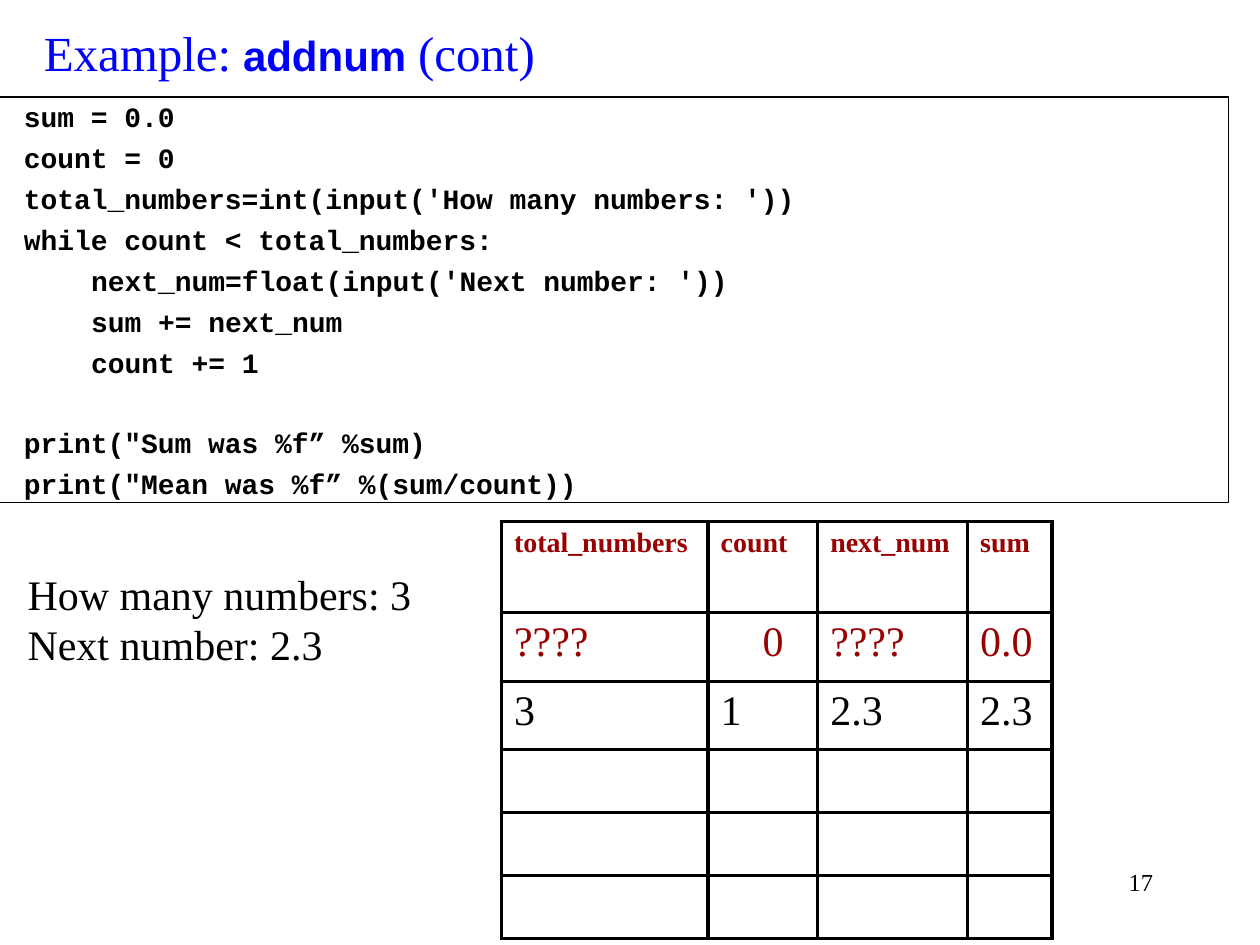
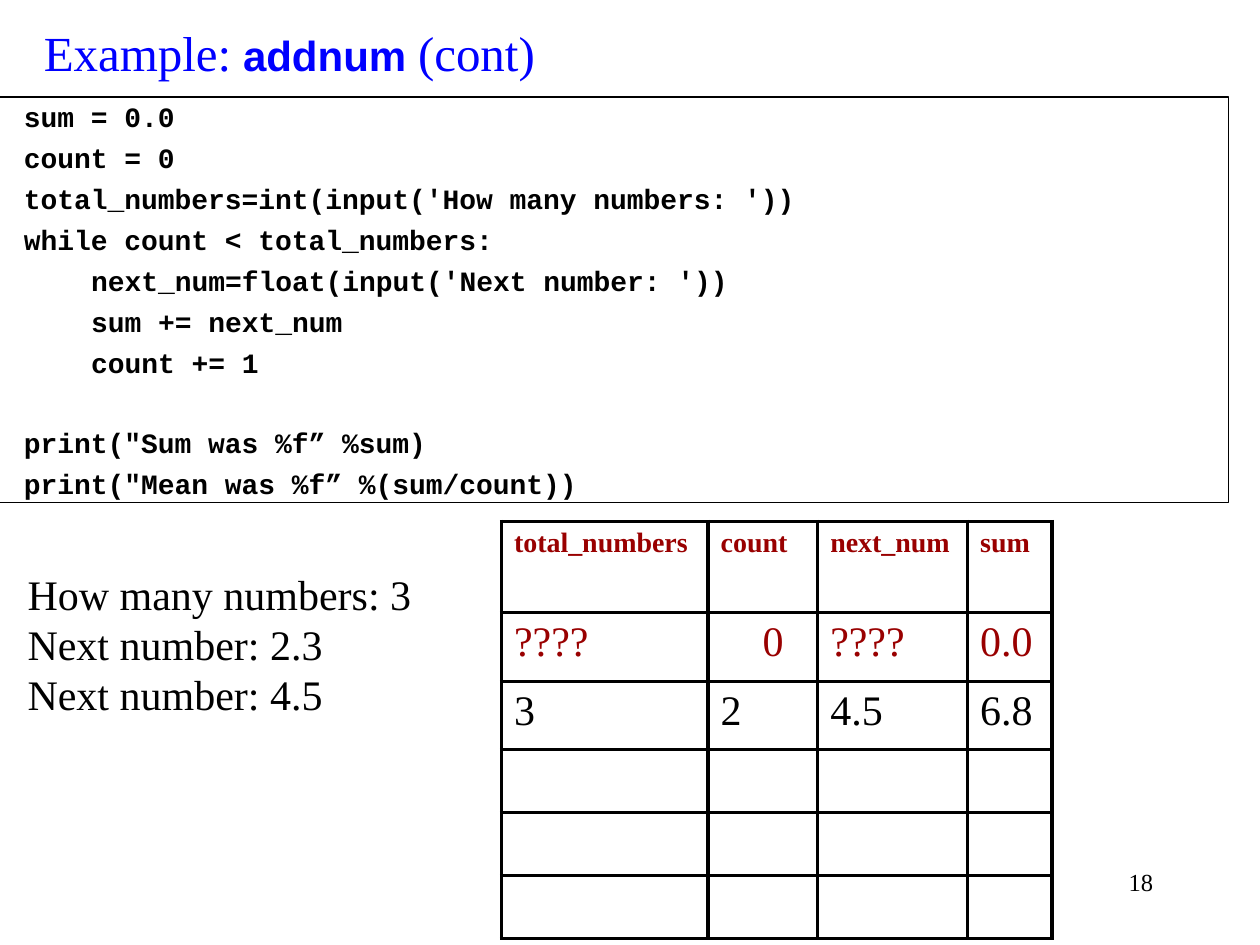
"""Builds two slides that trace the addnum program step by step."""
from dataclasses import dataclass

from lxml.etree import SubElement
from pptx import Presentation
from pptx.dml.color import RGBColor
from pptx.enum.shapes import MSO_SHAPE
from pptx.enum.text import MSO_ANCHOR, PP_ALIGN
from pptx.oxml.ns import qn
from pptx.util import Inches, Pt

COLORS = {"ink": "000000", "title": "0000FF", "accent": "990000"}
SERIF, SANS, MONO = "Times New Roman", "Arial", "Courier New"
SLIDE_W, SLIDE_H = Inches(10), Inches(7.5)
COL, ROW = SLIDE_W / 100, SLIDE_H / 75
CODE_INDENT = 5.33
CODE_GAP, CODE_LINE = 4.2, 22.4


@dataclass(frozen=True)
class Area:
    """A rectangle in grid columns and rows."""
    left: float
    top: float
    width: float
    height: float

    def emu(self) -> tuple[int, int, int, int]:
        return (round(self.left * COL), round(self.top * ROW),
                round(self.width * COL), round(self.height * ROW))


@dataclass(frozen=True)
class Style:
    """The look of a piece of text."""
    font: str
    size: int
    color: str = "ink"
    bold: bool = False


@dataclass(frozen=True)
class CodeLine:
    """A line of the program, its nesting level and the blank lines above it."""
    text: str
    level: int = 0
    blanks: int = 0


@dataclass(frozen=True)
class Step:
    """What one slide shows of the running program."""
    number: int
    dialogue: tuple[str, ...]
    dialogue_rows: float
    values: tuple[str, ...]


TITLE_AREA = Area(2.5, 1.3, 95, 5.7)
CODE_AREA = Area(-0.1, 7.7, 97.6, 32.2)
TABLE_AREA = Area(39.8, 41.4, 43.7, 33.1)
NUMBER_AREA = Area(71.7, 68.3, 20.8, 5)
TABLE_COLS = (16.4, 8.7, 11.9, 6.7)
TABLE_ROWS = (7.2, 5.5, 5.4, 5, 5, 5)

TITLE_STYLE = Style(SERIF, 28, "title")
TITLE = (("Example:", TITLE_STYLE),
         (" addnum ", Style(SANS, 24, "title", True)),
         ("(cont)", TITLE_STYLE))
CODE_STYLE = Style(MONO, 16, bold=True)
HEAD_STYLE = Style(SERIF, 16, "accent", True)
START_STYLE = Style(SERIF, 24, "accent")
BODY_STYLE = Style(SERIF, 24)
NUMBER_STYLE = Style(SERIF, 14)

CODE = (
    CodeLine("sum = 0.0"),
    CodeLine("count = 0"),
    CodeLine("total_numbers=int(input('How many numbers: '))"),
    CodeLine("while count < total_numbers:"),
    CodeLine("next_num=float(input('Next number: '))", 1),
    CodeLine("sum += next_num", 1),
    CodeLine("count += 1", 1),
    CodeLine('print("Sum was %f” %sum)', blanks=1),
    CodeLine('print("Mean was %f” %(sum/count))'),
)
VARIABLES = ("total_numbers", "count", "next_num", "sum")
START_VALUES = ("????", "0", "????", "0.0")
START_COUNT_INDENT = 3.33
DIALOGUE = ("How many numbers: 3", "Next number: 2.3", "Next number: 4.5")
STEPS = (
    Step(17, DIALOGUE[:2], 9.1, ("3", "1", "2.3", "2.3")),
    Step(18, DIALOGUE, 17.2, ("3", "2", "4.5", "6.8")),
)


def set_font(font, style: Style) -> None:
    """Apply a style to the font of a run or paragraph."""
    font.name, font.size, font.bold = style.font, Pt(style.size), style.bold
    font.color.rgb = RGBColor.from_string(COLORS[style.color])


def indent(p, columns: float) -> None:
    """Set the left margin of a paragraph in grid columns."""
    p._p.get_or_add_pPr().set("marL", str(round(columns * COL)))


def add_lines(tf, lines: tuple[str, ...], style: Style) -> list:
    """Write one paragraph per line and return the paragraphs."""
    paragraphs = []
    for i, text in enumerate(lines):
        p = tf.add_paragraph() if i else tf.paragraphs[0]
        p.text = text
        set_font(p.font, style)
        paragraphs.append(p)
    return paragraphs


def add_text(s, area: Area, lines: tuple[str, ...], style: Style, wrap: bool = True) -> list:
    """Add a text box and return its paragraphs."""
    tf = s.shapes.add_textbox(*area.emu()).text_frame
    tf.word_wrap = wrap
    return add_lines(tf, lines, style)


def add_title(s) -> None:
    """Add the title with the program name set apart."""
    tf = s.shapes.add_textbox(*TITLE_AREA.emu()).text_frame
    tf.word_wrap = True
    for text, style in TITLE:
        r = tf.paragraphs[0].add_run()
        r.text = text
        set_font(r.font, style)


def add_code(s) -> None:
    """Add the framed program listing."""
    sp = s.shapes.add_shape(MSO_SHAPE.RECTANGLE, *CODE_AREA.emu())
    sp.shadow.inherit = False
    sp.fill.background()
    sp.line.color.rgb = RGBColor.from_string(COLORS["ink"])
    sp.line.width = Pt(0.75)
    tf = sp.text_frame
    tf.word_wrap = True
    tf.vertical_anchor = MSO_ANCHOR.MIDDLE
    tf.margin_left = round(2 * COL)
    paragraphs = add_lines(tf, tuple(line.text for line in CODE), CODE_STYLE)
    for p, line in zip(paragraphs, CODE):
        p.alignment = PP_ALIGN.LEFT
        p.space_before = Pt(CODE_GAP + line.blanks * CODE_LINE)
        indent(p, line.level * CODE_INDENT)


def add_borders(cell) -> None:
    """Draw a solid line on every side of a cell."""
    tcPr = cell._tc.get_or_add_tcPr()
    for side in ("a:lnL", "a:lnR", "a:lnT", "a:lnB"):
        ln = SubElement(tcPr, qn(side), w=str(Pt(2.25)))
        fill = SubElement(ln, qn("a:solidFill"))
        SubElement(fill, qn("a:srgbClr"), val=COLORS["ink"])


def add_trace(s, values: tuple[str, ...]) -> None:
    """Add the table of variable values."""
    table = s.shapes.add_table(len(TABLE_ROWS), len(TABLE_COLS), *TABLE_AREA.emu()).table
    table.first_row = table.horz_banding = False
    for column, width in zip(table.columns, TABLE_COLS):
        column.width = round(width * COL)
    for row, height in zip(table.rows, TABLE_ROWS):
        row.height = round(height * ROW)
    for cell in table.iter_cells():
        add_borders(cell)
        cell.fill.background()
    rows = ((VARIABLES, HEAD_STYLE), (START_VALUES, START_STYLE), (values, BODY_STYLE))
    for i, (texts, style) in enumerate(rows):
        for j, text in enumerate(texts):
            add_lines(table.cell(i, j).text_frame, (text,), style)
    indent(table.cell(1, 1).text_frame.paragraphs[0], START_COUNT_INDENT)


def add_step(prs, step: Step) -> None:
    """Add the slide for one step."""
    s = prs.slides.add_slide(prs.slide_layouts[6])
    number, = add_text(s, NUMBER_AREA, (str(step.number),), NUMBER_STYLE)
    number.alignment = PP_ALIGN.RIGHT
    add_code(s)
    add_title(s)
    add_trace(s, step.values)
    dialogue_area = Area(1.2, 44.6, 32.8, step.dialogue_rows)
    add_text(s, dialogue_area, step.dialogue, BODY_STYLE, wrap=False)


def main() -> None:
    """Build and save the presentation."""
    prs = Presentation()
    prs.slide_width, prs.slide_height = SLIDE_W, SLIDE_H
    for step in STEPS:
        add_step(prs, step)
    prs.save("out.pptx")


if __name__ == "__main__":
    main()
